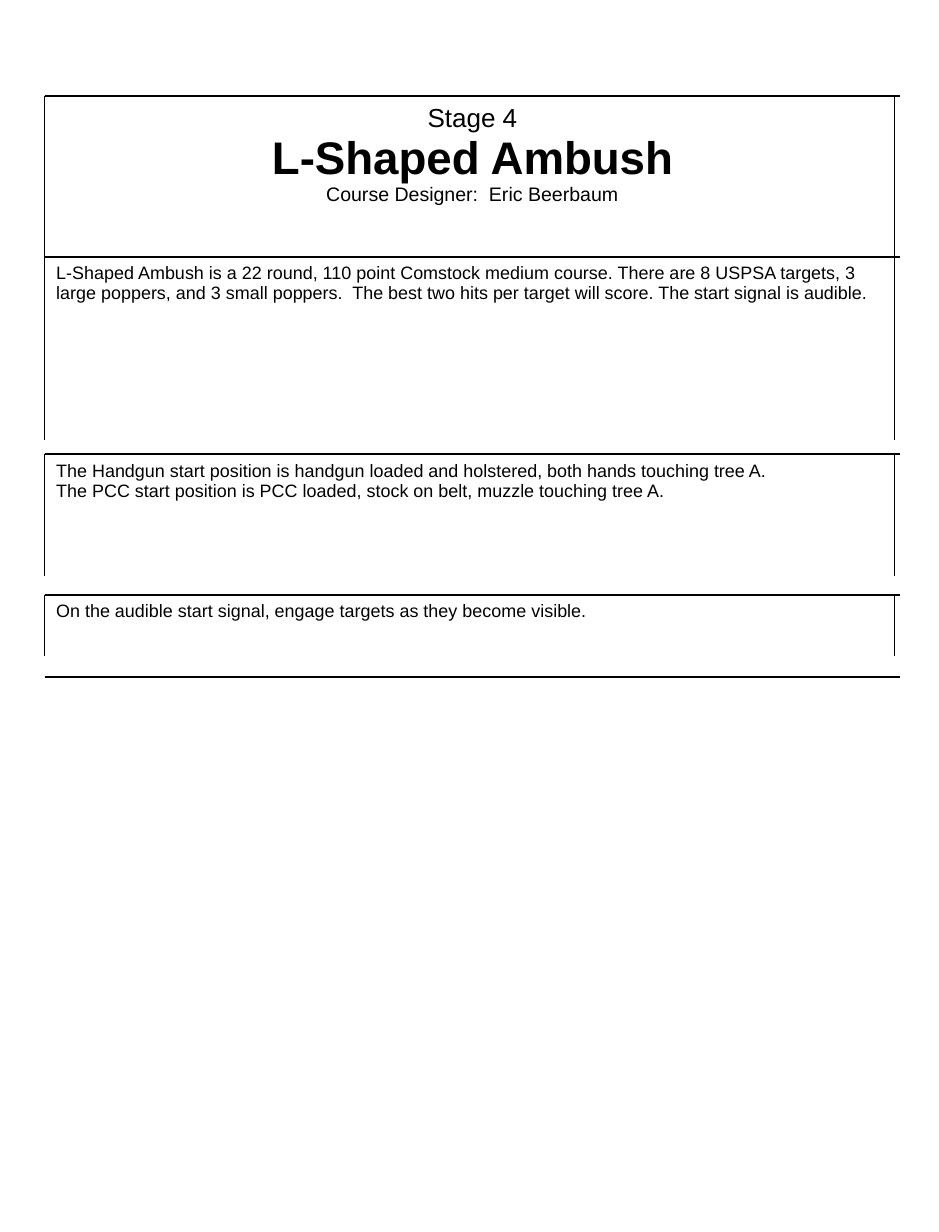
from pptx import Presentation
from pptx.dml.color import RGBColor as RGB
from pptx.enum.shapes import MSO_CONNECTOR as Conn, MSO_SHAPE as Shape
from pptx.enum.text import MSO_ANCHOR as Anchor, PP_ALIGN as Align
from pptx.oxml.ns import qn
from pptx.util import Inches, Pt
from lxml.etree import SubElement

COLORS = {"ink": "000000", "paper": "FFFFFF"}
FONT = "Arial"

# Each row: top, height, inset above the text, alignment, (text, size, bold)
ROWS = [
    (0.82, 1.56, 0.07, Align.CENTER, [
        ("Stage 4", 16, False),
        ("L-Shaped Ambush", 28, True),
        ("Course Designer:  Eric Beerbaum", 12, False)]),
    (2.19, 1.56, 0.06, Align.LEFT, [
        ("L-Shaped Ambush is a 22 round, 110 point Comstock medium course. "
         "There are 8 USPSA targets, 3 large poppers, and 3 small poppers.  "
         "The best two hits per target will score. "
         "The start signal is audible.", 11, False)]),
    (3.87, 1.04, 0.06, Align.LEFT, [
        ("The Handgun start position is handgun loaded and holstered, "
         "both hands touching tree A.", 11, False),
        ("The PCC start position is PCC loaded, stock on belt, "
         "muzzle touching tree A.", 11, False)]),
    (5.07, 0.52, 0.06, Align.LEFT, [
        ("On the audible start signal, engage targets as they become visible.",
         11, False)]),
]
LEFT, WIDTH = 0.38, 7.29
RIGHT = LEFT + WIDTH
SIDES = (LEFT, 7.62)
BOTTOM = 5.77

prs = Presentation()
prs.slide_width, prs.slide_height = Inches(8), Inches(10.5)
slide = prs.slides.add_slide(prs.slide_layouts[6])
shapes = slide.shapes


def color(name):
    return RGB.from_string(COLORS[name])


def add_cell(top, height, inset, align, texts):
    cell = shapes.add_shape(Shape.RECTANGLE, Inches(LEFT), Inches(top),
                            Inches(WIDTH), Inches(height))
    cell.shadow.inherit = False
    cell.fill.solid()
    cell.fill.fore_color.rgb = color("paper")
    cell.line.fill.background()
    frame = cell.text_frame
    frame.word_wrap = True
    frame.vertical_anchor = Anchor.TOP
    frame.margin_left = frame.margin_right = Inches(0.1)
    frame.margin_top, frame.margin_bottom = Inches(inset), Inches(0.05)
    frame.text = "\n".join(text for text, _, _ in texts)
    for para, (_, size, bold) in zip(frame.paragraphs, texts):
        para.alignment = align
        para.line_spacing = 0.93
        font = para.runs[0].font
        font.name, font.size, font.bold = FONT, Pt(size), bold
        font.color.rgb = color("ink")


def add_rule(x1, y1, x2, y2):
    rule = shapes.add_connector(Conn.STRAIGHT, Inches(x1), Inches(y1),
                                Inches(x2), Inches(y2))
    rule.line.color.rgb = color("ink")
    rule.line.width = Pt(0.91)
    SubElement(rule._element.spPr, qn("a:effectLst"))


# Text cells
for row in ROWS:
    add_cell(*row)

# Rules across: above each row and below the last
for y in [row[0] for row in ROWS] + [BOTTOM]:
    add_rule(LEFT, y, RIGHT, y)

# Rules down both sides of each row
for x in SIDES:
    for top, height, *_ in ROWS:
        add_rule(x, top, x, top + height)

prs.save("out.pptx")
